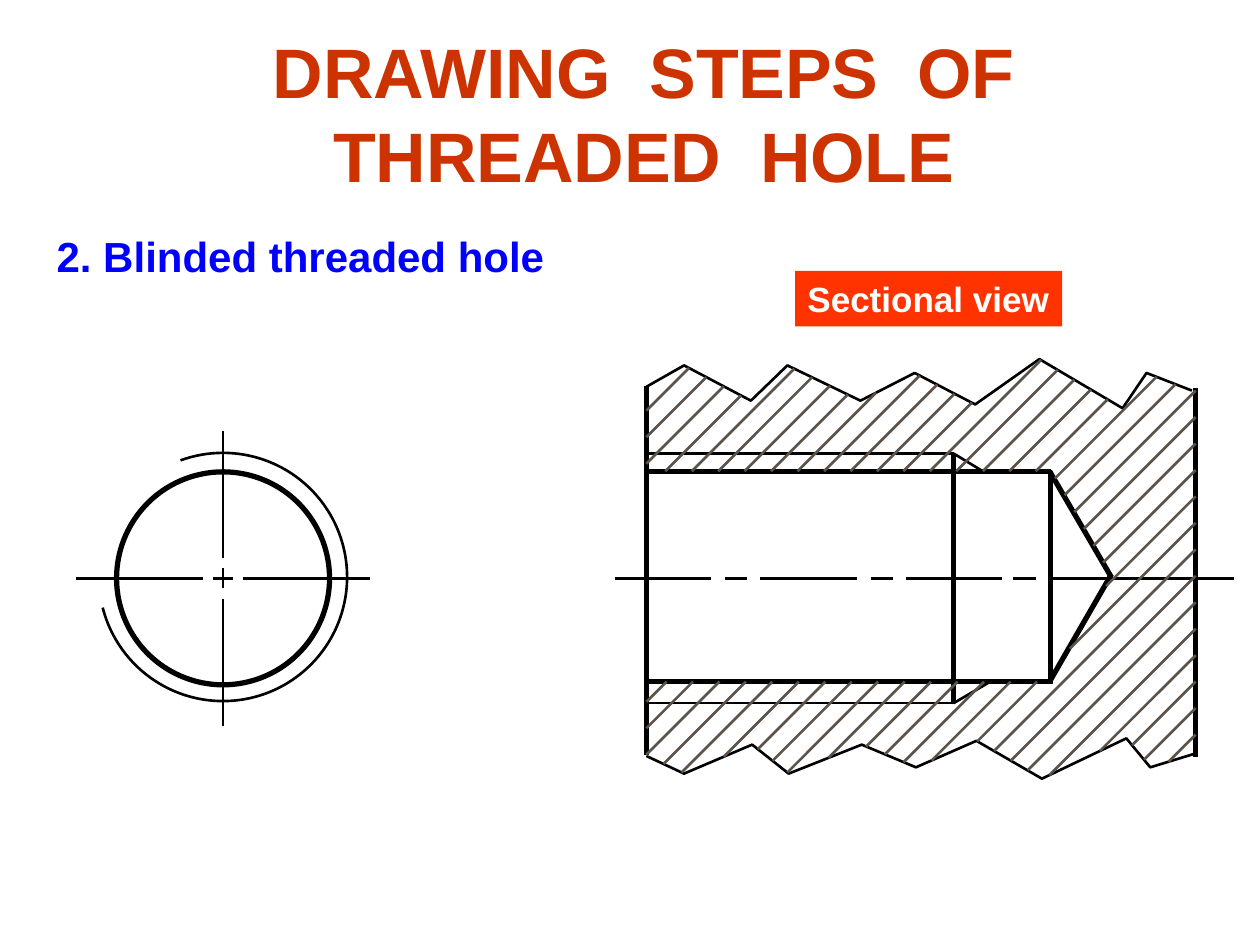
import pptx
import pptx.util
import pptx.dml.color
import pptx.enum.shapes
import pptx.enum.text
import pptx.oxml.ns
from lxml import etree

Inches, Pt = pptx.util.Inches, pptx.util.Pt
Text, Align = pptx.enum.text, pptx.enum.text.PP_ALIGN
Shape = pptx.enum.shapes.MSO_SHAPE

THEME = {
    "font": "Arial",
    "title": "CC3300", "head": "0000FF", "label": "FFFFFF", "box": "FF3300",
    "ink": "000000", "hatch": "5B5249",
    "title_pt": 40, "head_pt": 24, "label_pt": 20,
    "thin": 1.5, "bold": 3,
}

# Content: wording and boxes (left, top, width, height)
TITLE = ["DRAWING  STEPS  OF", "THREADED  HOLE"]
HEAD = ["2. Blinded threaded hole"]
LABEL = ["Sectional view"]
TITLE_BOX = (2.05, 0.18, 6.12, 1.44)
HEAD_BOX = (0.35, 1.78, 4.07, 0.5)
LABEL_BOX = (6.31, 2.15, 2.12, 0.44)

# Front view
AXIS = 4.59
MID = 1.77
HOLE_R, THREAD_R = 0.845, 0.985
ARC_FROM, ARC_TO = 250, 165.7
MARKS = [(-1.17, -0.16), (-0.08, 0.08), (0.16, 1.17)]

# Sectional view
LEFT, RIGHT, END, DRILL, TIP = 5.13, 9.49, 7.57, 8.34, 8.82
UP, LOW = 3.74, 5.41
TOP_EDGE = [(LEFT, 3.07), (5.43, 2.9), (5.96, 3.18), (6.25, 2.9), (6.83, 3.18),
            (7.26, 2.96), (7.74, 3.21), (8.25, 2.85), (8.91, 3.24),
            (9.1, 2.96), (9.46, 3.1)]
LOW_EDGE = [(LEFT, 6), (5.43, 6.14), (5.97, 5.91), (6.26, 6.14), (6.84, 5.91),
            (7.27, 6.09), (7.75, 5.88), (8.27, 6.18), (8.94, 5.86),
            (9.13, 6.09), (RIGHT, 5.98)]
BOLD = [
    (LEFT, 3.06, LEFT, 5.99), (RIGHT, 3.08, RIGHT, 6.01),
    (LEFT, UP, DRILL, UP), (LEFT, LOW, DRILL, LOW),
    (END, 3.6, END, 5.57), (DRILL, UP, DRILL, 5.43),
    (TIP, 4.58, 8.33, UP), (TIP, 4.56, 8.33, LOW),
]
THIN = [
    (LEFT, 3.6, END, 3.6), (END, 3.6, 7.8, UP),
    (5.15, 5.58, END, 5.58), (END, 5.58, 7.86, LOW),
]
DASHES = [(4.88, 5.64), (5.75, 5.93), (6.03, 6.8), (6.91, 7.09),
          (7.19, 7.95), (8.04, 8.22), (8.32, 9.79)]
METAL = TOP_EDGE + [(RIGHT, 3.08)] + LOW_EDGE[::-1] + [
    (LEFT, LOW), (DRILL, LOW), (TIP, 4.58), (DRILL, UP), (LEFT, UP)]
HATCH_FROM, HATCH_STEP, HATCHES = 8.39, 0.21, 34

deck = pptx.Presentation()
deck.slide_width, deck.slide_height = Inches(10), Inches(7.5)
slide = deck.slides.add_slide(deck.slide_layouts[5])
shapes = slide.shapes


def tint(name):
    return pptx.dml.color.RGBColor.from_string(THEME[name])


def pen(line, color, width):
    line.color.rgb = tint(color)
    line.width = Pt(THEME[width])


def write(shape, rows, role, align):
    frame = shape.text_frame
    frame.word_wrap = False
    frame.auto_size = Text.MSO_AUTO_SIZE.NONE
    frame.vertical_anchor = Text.MSO_ANCHOR.TOP
    for n, row in enumerate(rows):
        para = frame.add_paragraph() if n else frame.paragraphs[0]
        para.alignment = align
        run = para.add_run()
        run.text = row
        run.font.name, run.font.bold = THEME["font"], True
        run.font.size = Pt(THEME[role + "_pt"])
        run.font.color.rgb = tint(role)


def rule(x1, y1, x2, y2, width="thin", color="ink"):
    link = shapes.add_connector(
        pptx.enum.shapes.MSO_CONNECTOR.STRAIGHT, *map(Inches, (x1, y1, x2, y2)))
    pen(link.line, color, width)
    etree.SubElement(link._element.spPr, pptx.oxml.ns.qn("a:effectLst"))


def outline(shape, width):
    shape.shadow.inherit = False
    shape.fill.background()
    pen(shape.line, "ink", width)


def ring(kind, radius, y, width):
    box = (MID - radius, y - radius, 2 * radius, 2 * radius)
    shape = shapes.add_shape(kind, *map(Inches, box))
    outline(shape, width)
    return shape


def zigzag(edge):
    start, *rest = [(Inches(x), Inches(y)) for x, y in edge]
    path = shapes.build_freeform(*start)
    path.add_line_segments(rest, close=False)
    outline(path.convert_to_shape(), "thin")


def cuts(total):
    """Points where the line x + y = total crosses the metal's edge."""
    found = []
    for (x1, y1), (x2, y2) in zip(METAL, METAL[1:] + METAL[:1]):
        a, b = x1 + y1 - total, x2 + y2 - total
        if (a < 0) != (b < 0):
            part = a / (a - b)
            found.append((x1 + part * (x2 - x1), y1 + part * (y2 - y1)))
    return sorted(found)


# Title and heading
title = shapes.title
title.left, title.top, title.width, title.height = map(Inches, TITLE_BOX)
write(title, TITLE, "title", Align.CENTER)
write(shapes.add_textbox(*map(Inches, HEAD_BOX)), HEAD, "head", Align.CENTER)

# Label
label = shapes.add_shape(Shape.RECTANGLE, *map(Inches, LABEL_BOX))
label.shadow.inherit = False
label.fill.solid()
label.fill.fore_color.rgb = tint("box")
label.line.fill.background()
write(label, LABEL, "label", Align.LEFT)

# Front view: hole, thread arc and centre marks
ring(Shape.OVAL, HOLE_R, AXIS, "bold")
arc = ring(Shape.ARC, THREAD_R, 4.58, "thin")
for n, angle in enumerate((ARC_FROM, ARC_TO)):
    arc.adjustments[n] = angle * 0.6
for a, b in MARKS:
    rule(MID + a, AXIS, MID + b, AXIS)
    rule(MID, AXIS + a, MID, AXIS + b)

# Sectional view: outlines, thread, axis and break edges
for line in BOLD:
    rule(*line, "bold")
for line in THIN:
    rule(*line)
for a, b in DASHES:
    rule(a, AXIS, b, AXIS)
for edge in (TOP_EDGE, LOW_EDGE):
    zigzag(edge)

# Hatching, clipped to the metal
for n in range(HATCHES):
    ends = cuts(HATCH_FROM + n * HATCH_STEP)
    for start, stop in zip(ends[::2], ends[1::2]):
        if stop[0] - start[0] > 0.1:
            rule(*start, *stop, color="hatch")

deck.save("out.pptx")
